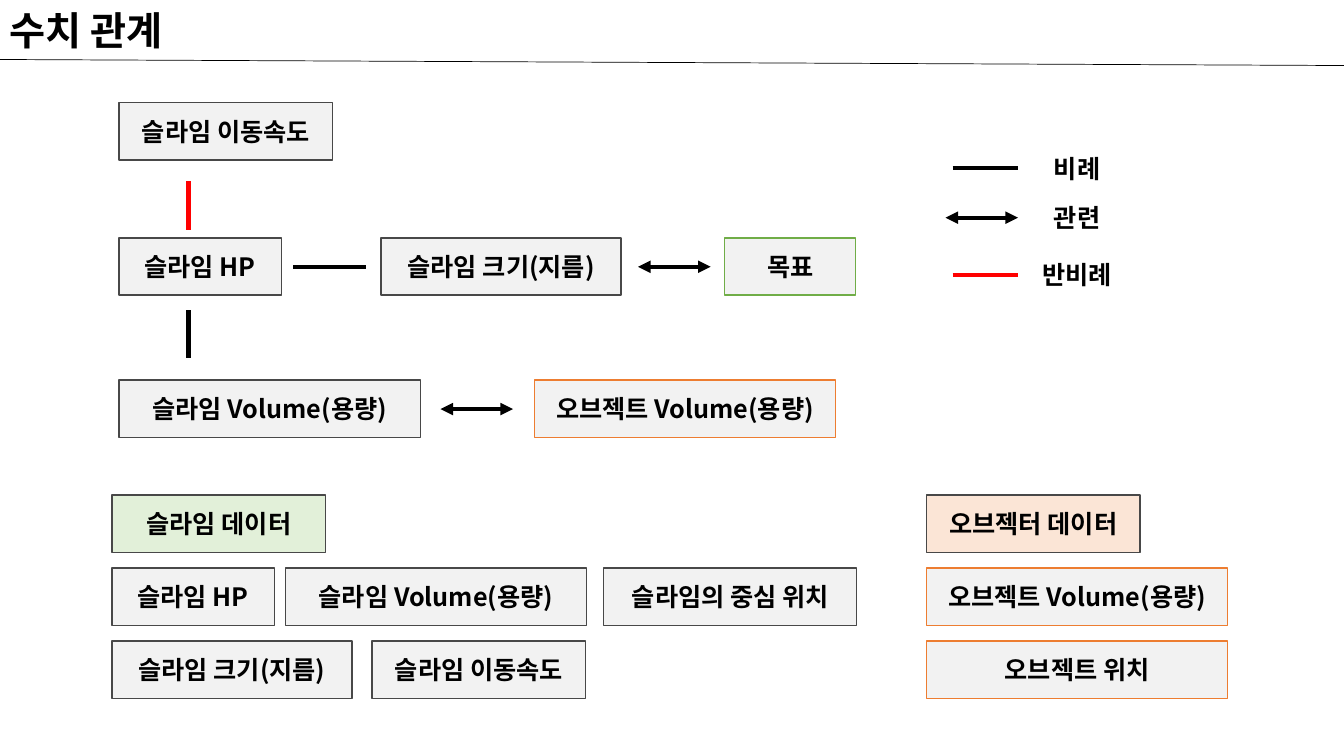
from lxml import etree
from pptx import Presentation
from pptx.dml.color import RGBColor
from pptx.enum.shapes import MSO_CONNECTOR, MSO_SHAPE
from pptx.enum.text import MSO_ANCHOR, MSO_AUTO_SIZE, PP_ALIGN
from pptx.oxml.ns import qn
from pptx.util import Pt

STRAIGHT = MSO_CONNECTOR.STRAIGHT
RECTANGLE = MSO_SHAPE.RECTANGLE
MIDDLE = MSO_ANCHOR.MIDDLE
CENTER, LEFT = PP_ALIGN.CENTER, PP_ALIGN.LEFT
GROW, NO_GROW = MSO_AUTO_SIZE.SHAPE_TO_FIT_TEXT, MSO_AUTO_SIZE.NONE

FONT = "Noto Sans CJK KR"
COLORS = {
    "text": "000000", "direct": "000000", "inverse": "FF0000",
    "card": "F2F2F2", "edge": "484848", "goal": "70AD47", "object": "ED7D31",
    "slime_head": "E2F0D9", "object_head": "FBE5D6",
}
CARD_HEIGHT = 41
ROW_PITCH = 52.2
LABEL_HEIGHT = 28.8
HEADER_WIDTH = 152.6

SPEED = ("슬라임 이동속도", 152.6)
HP = ("슬라임 HP", 115.9)
SIZE = ("슬라임 크기(지름)", 171.4)
VOLUME = ("슬라임 Volume(용량)", 215.3)
CENTER_POSITION = ("슬라임의 중심 위치", 180.7)
GOAL = ("목표", 93.6)
OBJECT_VOLUME = ("오브젝트 Volume(용량)", 215.3)
OBJECT_POSITION = ("오브젝트 위치", 215.3)


def color(name):
    return RGBColor.from_string(COLORS[name])


def write(shape, text, size=18, align=CENTER, **frame_format):
    frame = shape.text_frame
    for name, value in frame_format.items():
        setattr(frame, name, value)
    para = frame.paragraphs[0]
    para.alignment = align
    span = para.add_run()
    span.text = text
    for name, value in {"size": Pt(size), "bold": True, "name": FONT}.items():
        setattr(span.font, name, value)
    span.font.color.rgb = color("text")
    etree.SubElement(span.font._element, qn("a:ea"), typeface=FONT)


def add_label(page, text, box, **text_format):
    label = page.shapes.add_textbox(*map(Pt, box))
    write(label, text, word_wrap=False, auto_size=GROW, **text_format)


def add_card(page, content, left, top, fill="card", edge="edge"):
    text, width = content
    card = page.shapes.add_shape(RECTANGLE, Pt(left), Pt(top), Pt(width), Pt(CARD_HEIGHT))
    card.shadow.inherit = False
    card.fill.solid()
    card.fill.fore_color.rgb = color(fill)
    card.line.color.rgb = color(edge)
    card.line.width = Pt(1)
    write(card, text, word_wrap=True, auto_size=NO_GROW, vertical_anchor=MIDDLE)


def add_line(page, start, end, kind="direct", width=3):
    """Draw a link; the kind "related" has arrowheads at both ends."""
    line = page.shapes.add_connector(STRAIGHT, *map(Pt, (*start, *end)))
    line.line.color.rgb = color("direct" if kind == "related" else kind)
    line.line.width = Pt(width)
    if kind == "related":
        outline = line.line._get_or_add_ln()
        for tag in ("a:headEnd", "a:tailEnd"):
            etree.SubElement(outline, qn(tag), type="triangle")
    etree.SubElement(line._element.spPr, qn("a:effectLst"))


def add_title(page, left, top, width):
    add_label(page, "수치 관계", (left, top + 0.7, 137.5, 41), size=28, align=LEFT)
    add_line(page, (left, top + 42.5), (left + width, top + 46.8), width=0.5)


def add_relations(page, left, top):
    cards = [
        (SPEED, 0, 0, "edge"),
        (HP, 0, 96.5, "edge"),
        (SIZE, 187.2, 96.5, "edge"),
        (GOAL, 432.7, 96.5, "goal"),
        (VOLUME, 0, 198, "edge"),
        (OBJECT_VOLUME, 296.6, 198, "object"),
    ]
    for content, x, y, edge in cards:
        add_card(page, content, left + x, top + y, edge=edge)
    links = [
        ((49.6, 56.2), (49.6, 90.8), "inverse"),
        ((49.6, 148.4), (49.6, 182.2), "direct"),
        ((124.5, 117.2), (176.4, 117.2), "direct"),
        ((370.8, 117.2), (422.6, 117.2), "related"),
        ((229.6, 218.8), (281.5, 218.8), "related"),
    ]
    for (x1, y1), (x2, y2), kind in links:
        add_line(page, (left + x1, top + y1), (left + x2, top + y2), kind)


def add_legend(page, left, top):
    entries = [
        ("비례", "direct", 5, 14.4, 51),
        ("관련", "related", 0, 49.7, 51),
        ("반비례", "inverse", 5, 90.6, 69),
    ]
    for text, kind, indent, y, width in entries:
        middle = top + y
        add_line(page, (left + indent, middle), (left + 51.8, middle), kind)
        add_label(page, text, (left + 93.9 - width / 2, middle - LABEL_HEIGHT / 2,
                               width, LABEL_HEIGHT))


def add_data_group(page, left, top, header, header_fill, rows, edge):
    """Stack a header over rows of (content, offset) cards."""
    add_card(page, (header, HEADER_WIDTH), left, top, fill=header_fill)
    for number, row in enumerate(rows, start=1):
        for content, offset in row:
            add_card(page, content, left + offset, top + number * ROW_PITCH, edge=edge)


def main():
    deck = Presentation()
    deck.slide_width, deck.slide_height = Pt(960), Pt(540)
    page = deck.slides.add_slide(deck.slide_layouts[6])
    add_title(page, 0, 0, 960)
    add_relations(page, 85, 73.4)
    add_legend(page, 675.4, 105.8)
    add_data_group(page, 80, 353.5, "슬라임 데이터", "slime_head", [
        [(HP, 0), (VOLUME, 123.8), (CENTER_POSITION, 351.3)],
        [(SIZE, 0), (SPEED, 185.8)],
    ], "edge")
    add_data_group(page, 661.7, 353.5, "오브젝터 데이터", "object_head", [
        [(OBJECT_VOLUME, 0)],
        [(OBJECT_POSITION, 0)],
    ], "object")
    deck.save("out.pptx")


if __name__ == "__main__":
    main()
